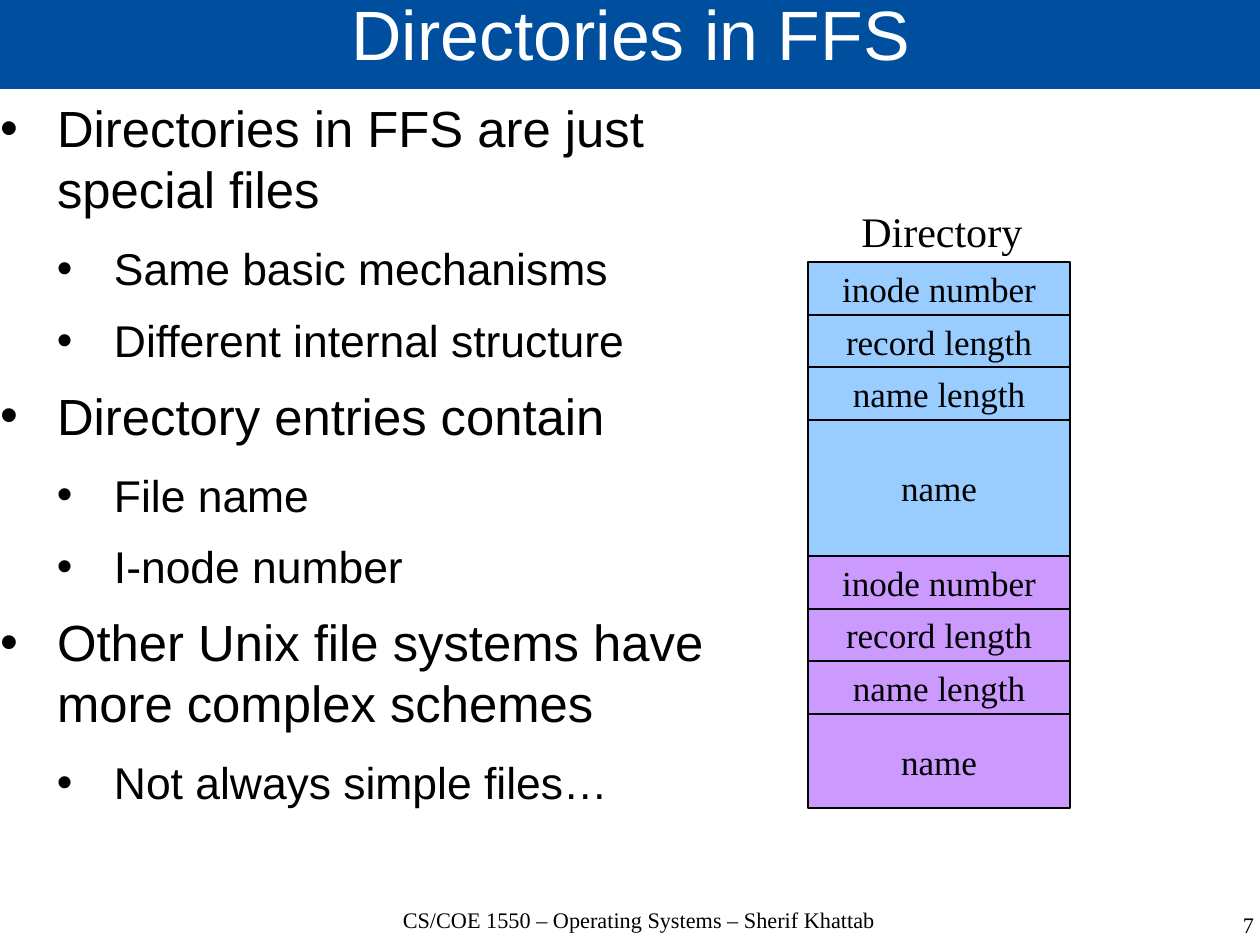
"""Build the slide on directories in FFS."""
from dataclasses import dataclass

from lxml.etree import SubElement
from pptx import Presentation
from pptx.dml.color import RGBColor
from pptx.enum.shapes import MSO_SHAPE as Preset
from pptx.enum.text import MSO_ANCHOR as Anchor, MSO_AUTO_SIZE as AutoSize, PP_ALIGN as Align
from pptx.oxml.ns import qn
from pptx.util import Pt

EMU_PER_PX = 8000


@dataclass(frozen=True)
class Theme:
    """Colours, fonts and type sizes of the slide."""
    sans: str = "Arial"
    serif: str = "Times New Roman"
    banner: str = "004F9E"
    white: str = "FFFFFF"
    black: str = "000000"
    first_entry: str = "99CCFF"
    second_entry: str = "CC99FF"
    title_size: float = 44
    level_sizes: tuple = (32, 28)
    level_gaps: tuple = (14.2, 11.4)
    label_size: float = 26.5
    field_size: float = 22.1
    footer_size: float = 14


THEME = Theme()

POINTS = [
    (0, "Directories in FFS are just special files"),
    (1, "Same basic mechanisms"),
    (1, "Different internal structure"),
    (0, "Directory entries contain"),
    (1, "File name"),
    (1, "I-node number"),
    (0, "Other Unix file systems have more complex schemes"),
    (1, "Not always simple files…"),
]
FIXED_FIELDS = [("inode number", 53), ("record length", 52), ("name length", 53)]
ENTRIES = [(THEME.first_entry, 136), (THEME.second_entry, 94)]


def px(length):
    """Turn px into EMU."""
    return length * EMU_PER_PX


def place(shape, left, top, width, height):
    """Move and size a shape."""
    shape.left, shape.top = px(left), px(top)
    shape.width, shape.height = px(width), px(height)


def set_frame(frame, anchor=Anchor.TOP, wrap=True, inset=0):
    """Set how a text frame holds its text."""
    frame.auto_size = AutoSize.NONE
    frame.word_wrap = wrap
    frame.vertical_anchor = anchor
    if inset is not None:
        frame.margin_left = frame.margin_right = inset
        frame.margin_top = frame.margin_bottom = inset


def add_run(paragraph, text, size, font, color=THEME.black):
    """Add one formatted run."""
    run = paragraph.add_run()
    run.text = text
    run.font.size = Pt(size)
    run.font.name = font
    run.font.color.rgb = RGBColor.from_string(color)


def add_bullet(paragraph, level):
    """Give a paragraph a round bullet with a hanging indent."""
    properties = paragraph._p.get_or_add_pPr()
    properties.set("marL", str(px(57 * (level + 1))))
    properties.set("indent", str(px(-57)))
    bullet_color = SubElement(properties, qn("a:buClr"))
    SubElement(bullet_color, qn("a:srgbClr"), val=THEME.black)
    SubElement(properties, qn("a:buFont"), typeface=THEME.sans)
    SubElement(properties, qn("a:buChar"), char="•")


def fill_title(title):
    """Write the title on its banner."""
    place(title, 0, -3, 1262, 92)
    title.fill.solid()
    title.fill.fore_color.rgb = RGBColor.from_string(THEME.banner)
    set_frame(title.text_frame, Anchor.MIDDLE)
    heading = title.text_frame.paragraphs[0]
    heading.alignment = Align.CENTER
    heading.line_spacing = 0.69
    add_run(heading, "Directories in FFS", THEME.title_size, THEME.sans, THEME.white)


def fill_points(body):
    """Write the bulleted list."""
    place(body, 0, 97, 738, 814)
    frame = body.text_frame
    set_frame(frame)
    for index, (level, text) in enumerate(POINTS):
        point = frame.add_paragraph() if index else frame.paragraphs[0]
        point.level = level
        point.space_before = Pt(0)
        point.space_after = Pt(THEME.level_gaps[level])
        add_bullet(point, level)
        add_run(point, text, THEME.level_sizes[level], THEME.sans)


def add_caption(slide, text, box, size, align, spacing=None, wrap=True, inset=0):
    """Add a serif text box."""
    caption = slide.shapes.add_textbox(*map(px, box))
    set_frame(caption.text_frame, wrap=wrap, inset=inset)
    line = caption.text_frame.paragraphs[0]
    line.alignment = align
    line.line_spacing = spacing
    add_run(line, text, size, THEME.serif)


def add_field(slide, text, top, height, color):
    """Add one field of a directory entry."""
    field = slide.shapes.add_shape(Preset.RECTANGLE, *map(px, (808, top, 262, height)))
    field.shadow.inherit = False
    field.fill.solid()
    field.fill.fore_color.rgb = RGBColor.from_string(color)
    field.line.color.rgb = RGBColor.from_string(THEME.black)
    field.line.width = Pt(0.75)
    set_frame(field.text_frame, Anchor.MIDDLE, wrap=False, inset=None)
    line = field.text_frame.paragraphs[0]
    line.alignment = Align.CENTER
    add_run(line, text, THEME.field_size, THEME.serif)


def add_directory(slide):
    """Stack the fields of both directory entries."""
    top = 262
    for color, name_height in ENTRIES:
        for text, height in FIXED_FIELDS + [("name", name_height)]:
            add_field(slide, text, top, height, color)
            top += height
    add_caption(slide, "Directory", (850, 200, 185, 63), THEME.label_size,
                Align.LEFT, wrap=False, inset=None)


def main():
    """Build and save the slide."""
    deck = Presentation()
    deck.slide_width, deck.slide_height = px(1260), px(945)
    slide = deck.slides.add_slide(deck.slide_layouts[1])
    fill_title(slide.shapes.title)
    fill_points(slide.placeholders[1])
    add_caption(slide, "CS/COE 1550 – Operating Systems – Sherif Khattab",
                (351, 908, 576, 63), THEME.footer_size, Align.CENTER, 0.96)
    add_caption(slide, "7", (965, 913, 289, 63), THEME.footer_size, Align.RIGHT, 0.96)
    add_directory(slide)
    deck.save("out.pptx")


if __name__ == "__main__":
    main()
